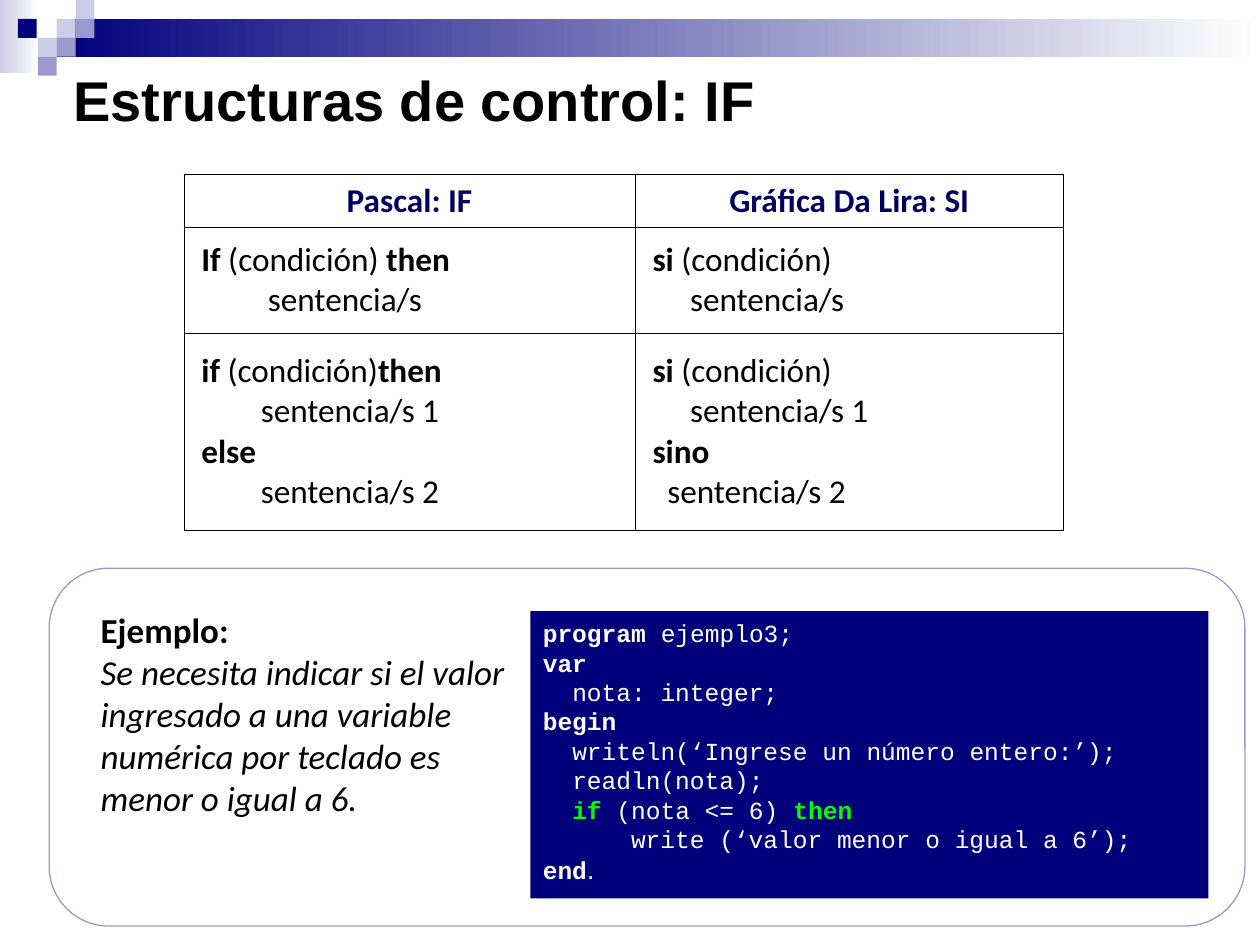
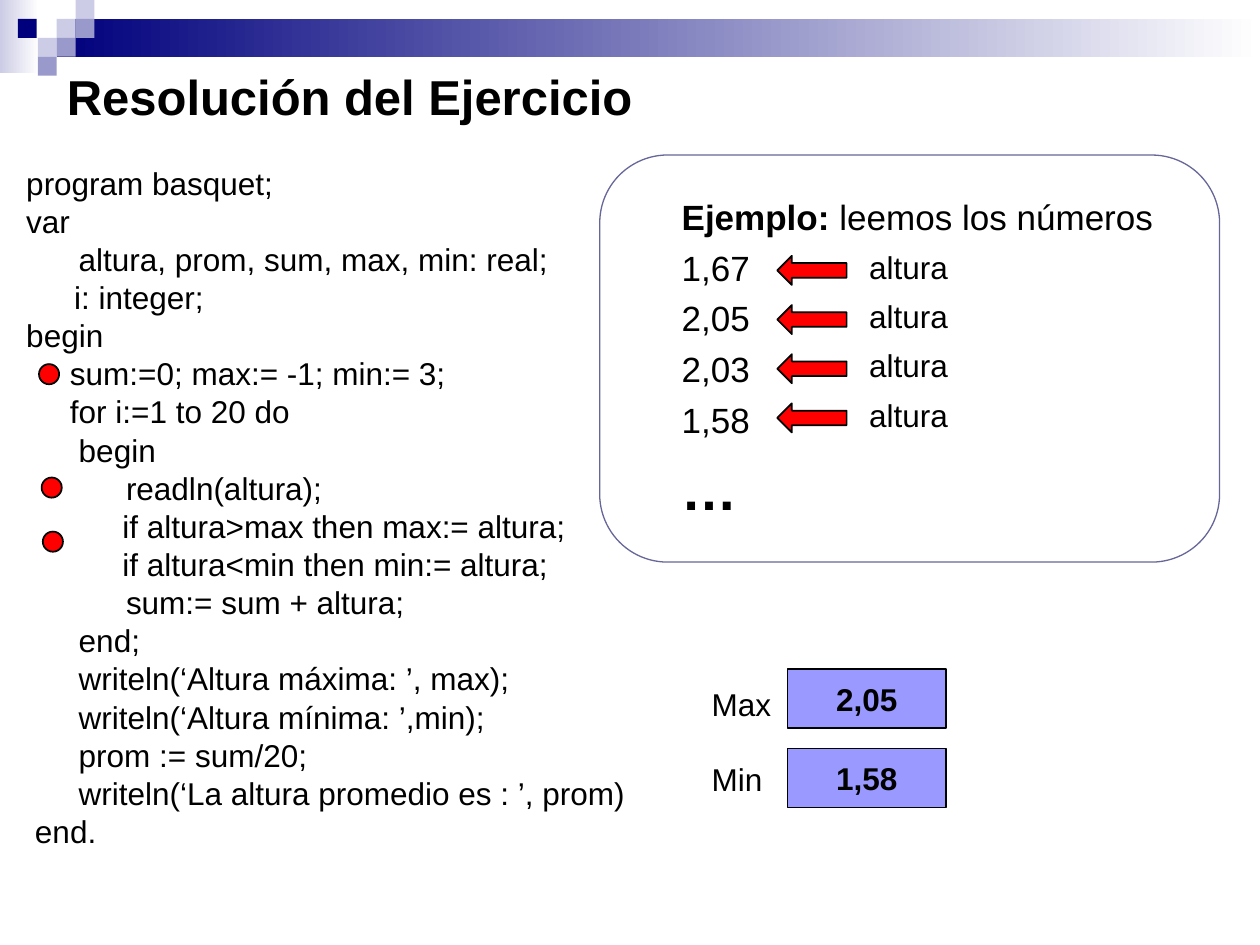
from lxml import etree
from pptx import Presentation
from pptx.dml.color import RGBColor
from pptx.enum import shapes, text
from pptx.oxml import ns
from pptx.util import Pt

NAVY = RGBColor(0x00, 0x00, 0x7D)
HEADING = RGBColor(0x00, 0x00, 0x5E)
LILAC = RGBColor(0xCC, 0xCC, 0xE6)
VIOLET = RGBColor(0x99, 0x99, 0xCC)
PERIWINKLE = RGBColor(0x99, 0x99, 0xFF)
SLATE = RGBColor(0x66, 0x66, 0x99)
RED = RGBColor(0xFF, 0x00, 0x00)
GREEN = RGBColor(0x00, 0xFF, 0x00)
WHITE = RGBColor(0xFF, 0xFF, 0xFF)
BLACK = RGBColor(0x00, 0x00, 0x00)

SHAPE, ANCHOR, ALIGN = shapes.MSO_SHAPE, text.MSO_ANCHOR, text.PP_ALIGN

# Content: a line is a string or (indent, string); *...* marks bold
IF_TITLE = "Estructuras de control: IF"
IF_TABLE = [
    [["*Pascal: IF*"], ["*Gráfica Da Lira: SI*"]],
    [["*If* (condición) *then*", (38, "sentencia/s")],
     ["*si* (condición)", (21.5, "sentencia/s")]],
    [["*if* (condición)*then*", (34, "sentencia/s 1"),
      "*else*", (34, "sentencia/s 2")],
     ["*si* (condición)", (21.5, "sentencia/s 1"),
      "*sino*", (8.5, "sentencia/s 2")]],
]
COLUMN_WIDTHS = (257.8, 244.8)
ROW_HEIGHTS = (30.3, 60.5, 112.5)

IF_EXAMPLE = [
    "*Ejemplo:*",
    "Se necesita indicar si el valor ingresado a una variable numérica "
    "por teclado es menor o igual a 6.",
]
IF_PROGRAM = [
    "*program* ejemplo3;",
    "*var*",
    (16.8, "nota: integer;"),
    "*begin*",
    (16.8, "writeln(‘Ingrese un número entero:’);"),
    (16.8, "readln(nota);"),
    (16.8, "*if* (nota <= 6) *then*"),
    (50.4, "write (‘valor menor o igual a 6’);"),
    "*end*.",
]
KEYWORDS = ("if", "then")

BASKET_TITLE = "Resolución del Ejercicio"
BASKET_PROGRAM = [
    "program basquet;",
    "var",
    (30, "altura, prom, sum, max, min: real;"),
    (27.4, "i: integer;"),
    "begin",
    (25, "sum:=0; max:= -1; min:= 3;"),
    (25, "for i:=1 to 20 do"),
    (30, "begin"),
    (57, "readln(altura);"),
    (55, "if altura>max then max:= altura;"),
    (55, "if altura<min then min:= altura;"),
    (57, "sum:= sum + altura;"),
    (30, "end;"),
    (30, "writeln(‘Altura máxima: ’, max);"),
    (30, "writeln(‘Altura mínima: ’,min);"),
    (30, "prom := sum/20;"),
    (30, "writeln(‘La altura promedio es : ’, prom)"),
    (5, "end."),
]
HEIGHTS = ["1,67", "2,05", "2,03", "1,58"]
STEP_DOTS = [(22.3, 208.1), (23.8, 272.9), (24.5, 303.8)]
RESULTS = [("Max", "2,05", 388.1, 382.3), ("Min", "1,58", 430.6, 427.7)]

# Bands and squares of the master: left, top, width, height, colour
BANDS = [(0, 0, 22.3, 41.8, LILAC), (32.4, 10.8, 687.6, 21.6, NAVY)]
SQUARE = 10.8
SQUARES = [(32.4, 10.8, LILAC), (43.2, 0, LILAC), (43.2, 10.8, VIOLET),
           (21.6, 21.6, LILAC), (10.2, 10.8, NAVY), (32.4, 21.6, VIOLET),
           (21.6, 32.4, VIOLET)]


def write(tf, lines, size, font="Arial", color=BLACK, align=ALIGN.LEFT,
          gap=0, spacing=None, keywords=()):
    for i, line in enumerate(lines):
        indent, marked = line if isinstance(line, tuple) else (0, line)
        p = tf.paragraphs[0] if i == 0 else tf.add_paragraph()
        p.alignment, p.line_spacing = align, spacing
        p.space_before = Pt(gap if i else 0)
        p.font.name, p.font.size = font, Pt(size)
        p.font.color.rgb = color
        pPr = p._p.get_or_add_pPr()
        pPr.set("marL", str(Pt(indent)))
        pPr.set("indent", "0")
        for k, part in enumerate(marked.split("*")):
            if part:
                r = p.add_run()
                r.text, r.font.bold = part, k % 2 == 1
                if part in keywords:
                    r.font.color.rgb = GREEN


def add_shape(s, kind, box, fill=None, line=None, width=0.75):
    sp = s.shapes.add_shape(kind, *map(Pt, box))
    sp.shadow.inherit = False
    if fill is None:
        sp.fill.background()
    else:
        sp.fill.solid()
        sp.fill.fore_color.rgb = fill
    if line is None:
        sp.line.fill.background()
    else:
        sp.line.color.rgb, sp.line.width = line, Pt(width)
    return sp


def add_text(s, box, lines, size, **style):
    tf = s.shapes.add_textbox(*map(Pt, box)).text_frame
    tf.word_wrap = True
    write(tf, lines, size, **style)
    return tf


def add_slide(prs, layout, title, box, size):
    s = prs.slides.add_slide(prs.slide_layouts[layout])
    sp = s.shapes.title
    sp.left, sp.top, sp.width, sp.height = map(Pt, box)
    tf = sp.text_frame
    tf.vertical_anchor, tf.margin_bottom = ANCHOR.BOTTOM, Pt(7.2)
    write(tf, [f"*{title}*"], size)
    return s


def decorate_master(prs, s):
    parts = []
    for *box, color in BANDS:
        sp = add_shape(s, SHAPE.RECTANGLE, box)
        sp.fill.gradient()
        sp.fill.gradient_angle = 0
        for stop, rgb in zip(sp.fill.gradient_stops, (color, WHITE)):
            stop.color.rgb = rgb
        parts.append(sp)
    for x, y, color in SQUARES:
        parts.append(add_shape(s, SHAPE.RECTANGLE, (x, y, SQUARE, SQUARE), color))
    # Behind the placeholders of the master
    for i, sp in enumerate(parts):
        prs.slide_master.shapes.element.insert(2 + i, sp.element)


def set_borders(cell, width=0.45):
    tcPr = cell._tc.get_or_add_tcPr()
    for i, side in enumerate(("lnL", "lnR", "lnT", "lnB")):
        ln = etree.Element(ns.qn(f"a:{side}"), w=str(Pt(width)))
        fill = etree.SubElement(ln, ns.qn("a:solidFill"))
        etree.SubElement(fill, ns.qn("a:srgbClr"), val=str(BLACK))
        tcPr.insert(i, ln)


def add_if_table(s):
    box = (105.1, 99.7, sum(COLUMN_WIDTHS), sum(ROW_HEIGHTS))
    table = s.shapes.add_table(len(IF_TABLE), len(COLUMN_WIDTHS),
                               *map(Pt, box)).table
    for column, width in zip(table.columns, COLUMN_WIDTHS):
        column.width = Pt(width)
    for i, (row, height) in enumerate(zip(IF_TABLE, ROW_HEIGHTS)):
        table.rows[i].height = Pt(height)
        for j, lines in enumerate(row):
            cell, head = table.cell(i, j), i == 0
            cell.margin_right = cell.margin_top = cell.margin_bottom = Pt(3.6)
            cell.margin_left = Pt(3.6 if head else 10)
            cell.vertical_anchor = ANCHOR.TOP if head else ANCHOR.MIDDLE
            if head:
                cell.fill.solid()
                cell.fill.fore_color.rgb = WHITE
            else:
                cell.fill.background()
            write(cell.text_frame, lines, 19, "Calibri",
                  HEADING if head else BLACK,
                  ALIGN.CENTER if head else ALIGN.LEFT)
            set_borders(cell)


def build_if_slide(prs):
    s = add_slide(prs, 5, IF_TITLE, (34.6, 17.3, 612, 66), 32)
    decorate_master(prs, s)
    add_if_table(s)

    # Example and its program
    tf = add_text(s, (50.4, 344.2, 252.7, 151), IF_EXAMPLE, 20, font="Calibri")
    tf.paragraphs[1].font.italic = True
    sp = add_shape(s, SHAPE.RECTANGLE, (303.1, 349.2, 387.4, 164.2), NAVY)
    tf = sp.text_frame
    tf.vertical_anchor, tf.margin_top = ANCHOR.TOP, Pt(4)
    write(tf, IF_PROGRAM, 14, "Courier New", WHITE, keywords=KEYWORDS)
    dot = tf.paragraphs[-1].runs[-1]
    dot.font.name, dot.font.size = "Arial", Pt(15)
    add_shape(s, SHAPE.ROUNDED_RECTANGLE, (28.1, 324.7, 683.3, 204.5), line=VIOLET)


def build_basket_slide(prs):
    s = add_slide(prs, 1, BASKET_TITLE, (31, 32.2, 648, 46.8), 28)

    # Numbers read
    sp = s.placeholders[1]
    sp.left, sp.top, sp.width, sp.height = map(Pt, (382.3, 108, 309.6, 207))
    tf = sp.text_frame
    tf.auto_size = text.MSO_AUTO_SIZE.NONE
    write(tf, ["*Ejemplo:* leemos los números", *HEIGHTS, "*…*"], 20, gap=5)
    for p in tf.paragraphs:
        p._p.get_or_add_pPr().insert_element_before(
            etree.Element(ns.qn("a:buNone")), "a:tabLst", "a:defRPr", "a:extLst")
    p.font.size, p.space_before = Pt(32), Pt(8)

    # Program with the steps marked
    sp = add_shape(s, SHAPE.RECTANGLE, (7.9, 93.6, 368.6, 401.8), WHITE)
    tf = sp.text_frame
    tf.vertical_anchor, tf.margin_top = ANCHOR.TOP, Pt(4)
    write(tf, BASKET_PROGRAM, 18, gap=4.5, spacing=0.8)
    for x, y in STEP_DOTS:
        add_shape(s, SHAPE.OVAL, (x, y, 11.5, 11.5), RED, BLACK, 1)

    # One arrow and label per number
    for i in range(len(HEIGHTS)):
        y = 134.6 + 28.1 * i
        arrow = add_shape(s, SHAPE.RIGHT_ARROW, (444.2, y + 11.6, 39.6, 16.6),
                          RED, BLACK, 1)
        arrow.rotation = 180
        tf = add_text(s, (489.6, y, 90.7, 33.8), ["altura"], 18, spacing=1.1)
        tf.vertical_anchor = ANCHOR.MIDDLE

    # Results
    for name, value, label_top, box_top in RESULTS:
        add_text(s, (399.6, label_top, 50, 28.8), [name], 18)
        sp = add_shape(s, SHAPE.RECTANGLE, (450, box_top, 90.7, 33.8),
                       PERIWINKLE, BLACK)
        write(sp.text_frame, [f"*{value}*"], 18, align=ALIGN.CENTER)
    add_shape(s, SHAPE.ROUNDED_RECTANGLE, (342.7, 88.6, 354.2, 232.6), line=SLATE)


def main():
    prs = Presentation()
    prs.slide_width, prs.slide_height = Pt(720), Pt(540)
    build_if_slide(prs)
    build_basket_slide(prs)
    prs.save("out.pptx")


if __name__ == "__main__":
    main()
